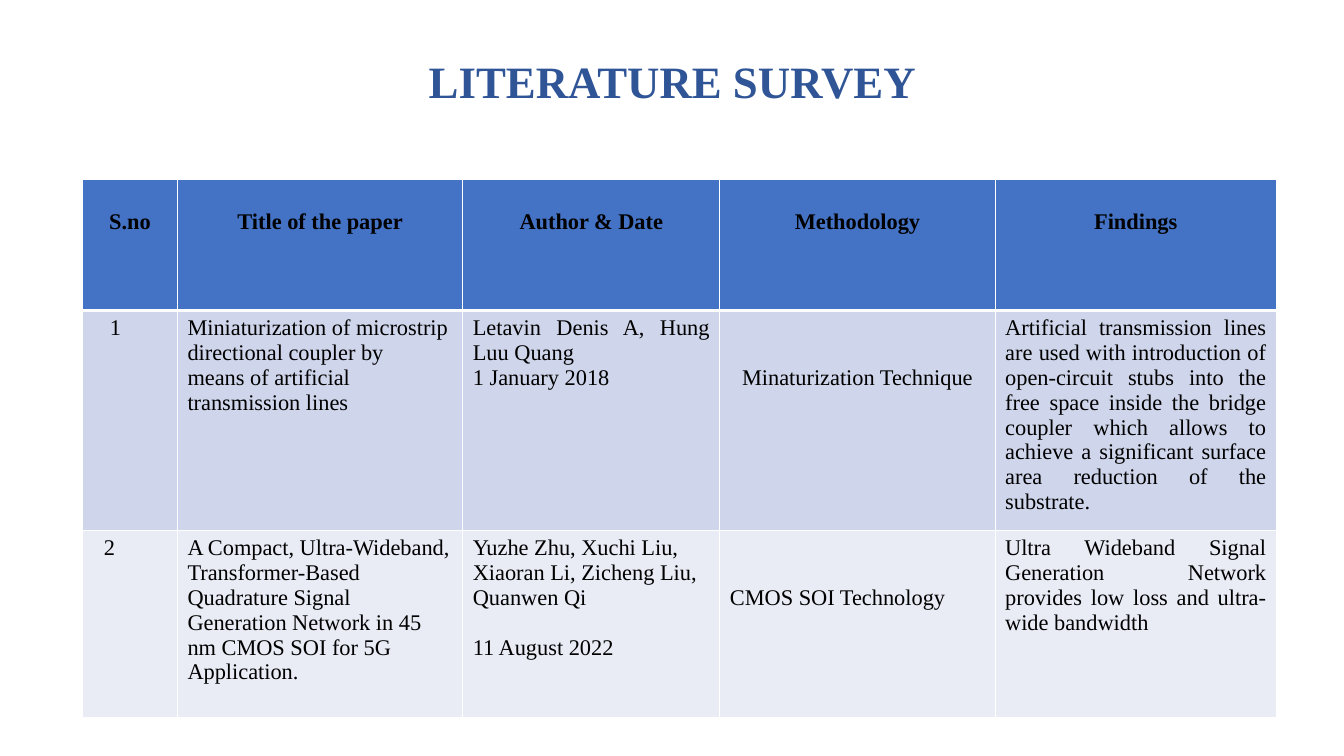
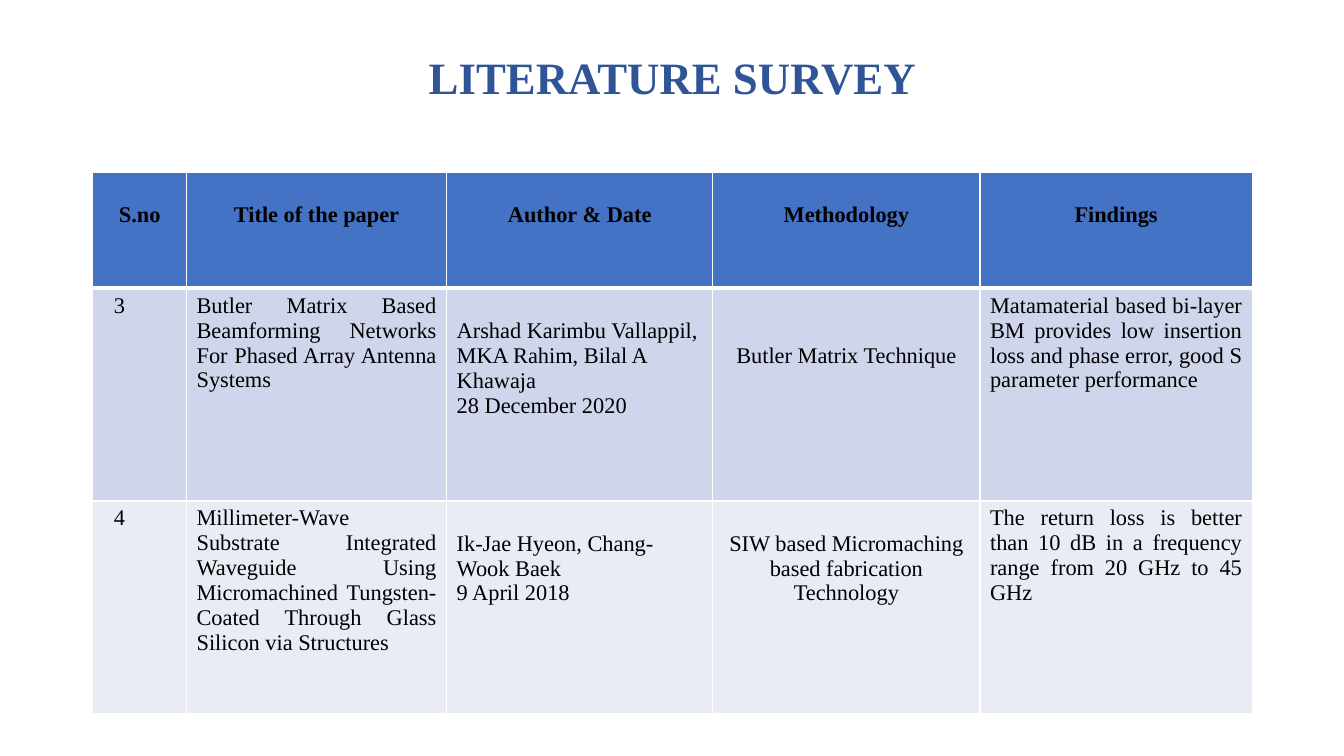
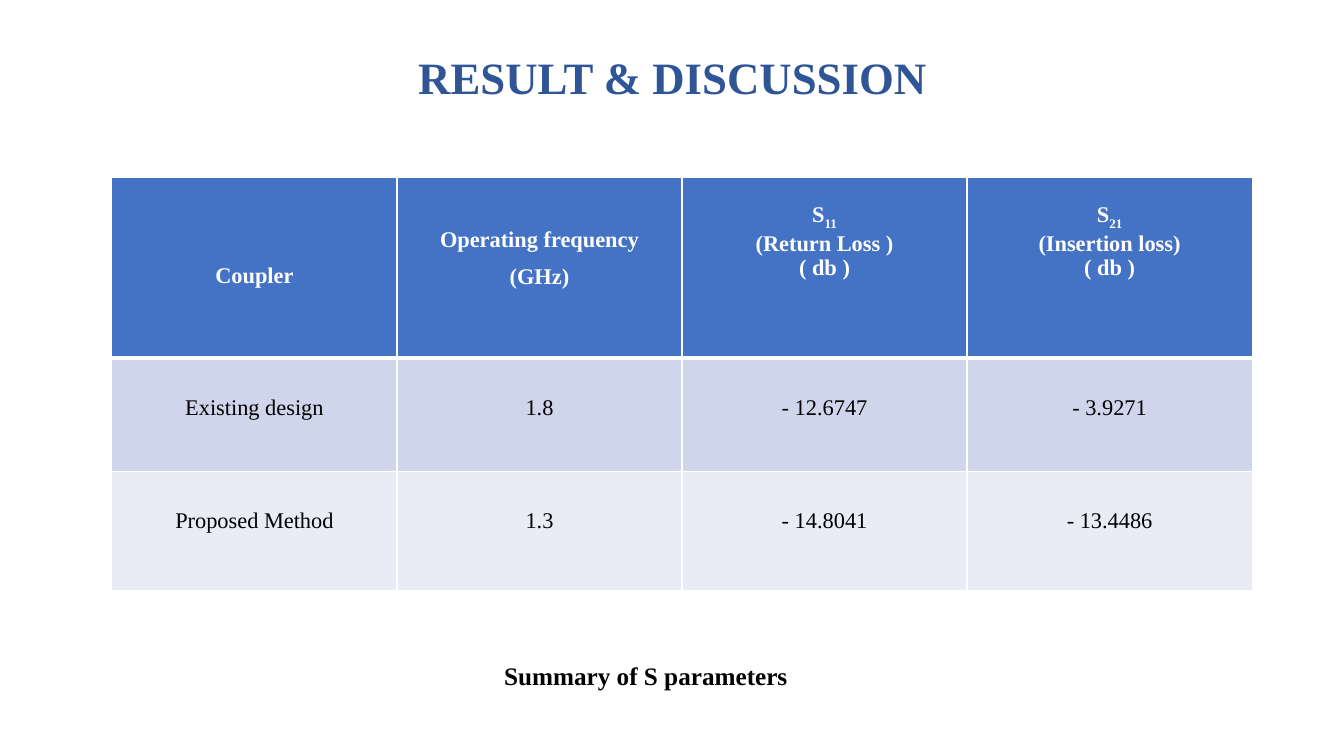
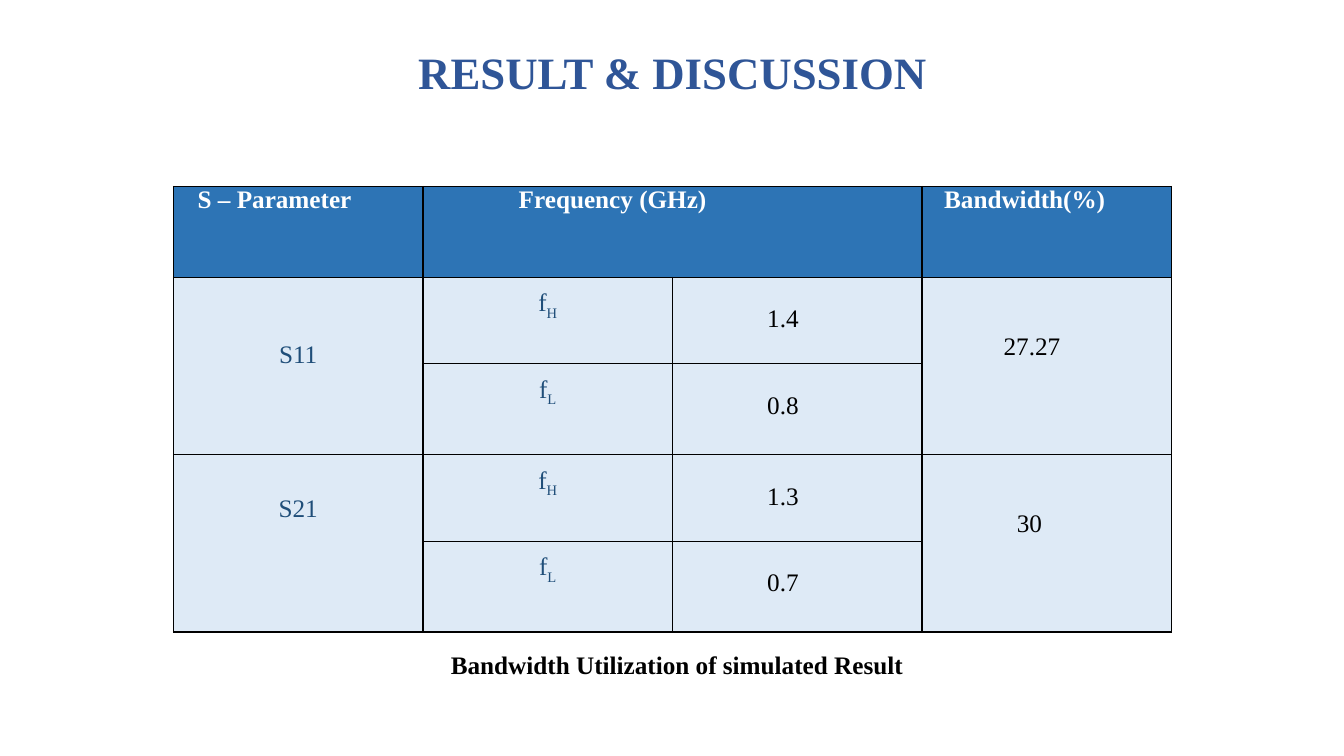
from dataclasses import dataclass
from itertools import product

from lxml.etree import SubElement
from pptx import Presentation
from pptx.dml.color import RGBColor
from pptx.enum.text import MSO_ANCHOR, PP_ALIGN
from pptx.oxml.ns import qn
from pptx.slide import Slide
from pptx.table import _Cell
from pptx.text.text import Font
from pptx.util import Inches, Pt

FONT = "Times New Roman"
BLACK, WHITE = "000000", "FFFFFF"
TITLE_BLUE, SYMBOL_BLUE = "2F5597", "1F4E79"
LEFT, CENTER, JUSTIFY = PP_ALIGN.LEFT, PP_ALIGN.CENTER, PP_ALIGN.JUSTIFY
PAD, LINE = 0.05, 0.25
ONE_LINE_DOWN, TWO_LINES_DOWN = PAD + LINE, PAD + 2 * LINE


@dataclass(frozen=True)
class TableStyle:
    header_fill: str
    body_fills: tuple[str, ...]
    header_color: str
    border: str
    header_rule: float
    size: int


SURVEY_STYLE = TableStyle("4472C4", ("CFD5EA", "E9EBF5"), BLACK, WHITE, 3, 16)
SUMMARY_STYLE = TableStyle("4472C4", ("CFD5EA", "E9EBF5"), WHITE, WHITE, 3, 16)
BANDWIDTH_STYLE = TableStyle("2D74B5", ("DEEAF6",), WHITE, BLACK, 1, 18)


@dataclass(frozen=True)
class CellText:
    """Text of one cell, with its insets in inches; a line break starts a paragraph."""
    text: str
    align: PP_ALIGN = LEFT
    top: float = PAD
    left: float = 0.1
    right: float = 0.1
    subscript: str = ""
    color: str = BLACK
    line_spacing: float = 1.0
    last_gap: float = 0


@dataclass(frozen=True)
class Grid:
    left: float
    top: float
    columns: list[float]
    rows: list[float]
    style: TableStyle
    cells: list[list[CellText | None]]
    merges: tuple[tuple[int, int, int, int], ...] = ()


def rgb(color: str) -> RGBColor:
    return RGBColor.from_string(color)


def format_font(font: Font, size: float, color: str, bold: bool) -> None:
    font.name, font.size, font.bold = FONT, Pt(size), bold
    font.color.rgb = rgb(color)


def add_label(slide: Slide, text: str, left: float, top: float, width: float,
              height: float, size: int, color: str) -> None:
    """Add one centred bold line of text."""
    frame = slide.shapes.add_textbox(
        Inches(left), Inches(top), Inches(width), Inches(height)).text_frame
    frame.word_wrap = True
    frame.vertical_anchor = MSO_ANCHOR.MIDDLE
    frame.text = text
    paragraph = frame.paragraphs[0]
    paragraph.alignment = CENTER
    format_font(paragraph.runs[0].font, size, color, True)


def add_title(slide: Slide, text: str, top: float, height: float) -> None:
    add_label(slide, text, 0.92, top, 11.5, height, 32, TITLE_BLUE)


def set_borders(cell: _Cell, color: str, widths: dict[str, float]) -> None:
    properties = cell._tc.get_or_add_tcPr()
    for side in ("L", "R", "T", "B"):
        line = SubElement(properties, qn(f"a:ln{side}"), w=str(Pt(widths.get(side, 1))))
        fill = SubElement(line, qn("a:solidFill"))
        SubElement(fill, qn("a:srgbClr"), val=color)


def write_cell(cell: _Cell, content: CellText, size: int, color: str, bold: bool) -> None:
    cell.margin_left, cell.margin_right = Inches(content.left), Inches(content.right)
    cell.margin_top, cell.margin_bottom = Inches(content.top), Inches(0)
    frame = cell.text_frame
    frame.text = content.text
    if content.subscript:
        run = frame.paragraphs[0].add_run()
        run.text = content.subscript
        run._r.get_or_add_rPr().set("baseline", "-25000")
    for paragraph in frame.paragraphs:
        paragraph.alignment = content.align
        paragraph.line_spacing = content.line_spacing
        for run in paragraph.runs:
            format_font(run.font, size, color, bold)
    if content.last_gap:
        frame.paragraphs[-1].space_before = Pt(content.last_gap)


def add_grid(slide: Slide, grid: Grid) -> None:
    style = grid.style
    table = slide.shapes.add_table(
        len(grid.rows), len(grid.columns), Inches(grid.left), Inches(grid.top),
        Inches(sum(grid.columns)), Inches(sum(grid.rows))).table
    table.horz_banding = False
    for column, width in zip(table.columns, grid.columns):
        column.width = Inches(width)
    for row, height in zip(table.rows, grid.rows):
        row.height = Inches(height)
    for row, column in product(range(len(grid.rows)), range(len(grid.columns))):
        cell, content = table.cell(row, column), grid.cells[row][column]
        is_header = row == 0
        rule_sides = {0: "B", 1: "T"}
        widths = {rule_sides[row]: style.header_rule} if row in rule_sides else {}
        set_borders(cell, style.border, widths)
        cell.fill.solid()
        body_fill = style.body_fills[(row - 1) % len(style.body_fills)]
        cell.fill.fore_color.rgb = rgb(style.header_fill if is_header else body_fill)
        if content:
            color = style.header_color if is_header else content.color
            write_cell(cell, content, style.size, color, is_header)
    for first_row, first_column, last_row, last_column in grid.merges:
        table.cell(first_row, first_column).merge(table.cell(last_row, last_column))


SURVEY_HEADER = [
    CellText(text, CENTER, ONE_LINE_DOWN)
    for text in ("S.no", "Title of the paper", "Author & Date", "Methodology", "Findings")
]

FIRST_SURVEY = Grid(
    0.82, 1.78, [0.94, 2.83, 2.55, 2.73, 2.79], [1.3, 2.07, 1.86], SURVEY_STYLE,
    [
        SURVEY_HEADER,
        [
            CellText("1", left=0.27),
            CellText("Miniaturization of microstrip directional coupler by\n"
                     "means of artificial transmission lines"),
            CellText("Letavin Denis A, Hung Luu Quang\n1 January 2018", JUSTIFY),
            CellText("Minaturization Technique", CENTER, TWO_LINES_DOWN),
            CellText("Artificial transmission lines are used with introduction of "
                     "open-circuit stubs into the free space inside the bridge coupler "
                     "which allows to achieve a significant surface area reduction of "
                     "the substrate.", JUSTIFY),
        ],
        [
            CellText("2", left=0.21),
            CellText("A Compact, Ultra-Wideband, Transformer-Based Quadrature Signal "
                     "Generation Network in 45 nm CMOS SOI for 5G Application."),
            CellText("Yuzhe Zhu, Xuchi Liu, Xiaoran Li, Zicheng Liu, Quanwen Qi\n"
                     "11 August 2022", last_gap=18),
            CellText("CMOS SOI Technology", top=TWO_LINES_DOWN),
            CellText("Ultra Wideband Signal Generation Network provides low loss and "
                     "ultra-wide bandwidth", JUSTIFY),
        ],
    ])

SECOND_SURVEY = Grid(
    0.92, 1.71, [0.93, 2.58, 2.64, 2.65, 2.7], [1.15, 2.11, 2.11], SURVEY_STYLE,
    [
        SURVEY_HEADER,
        [
            CellText("3", left=0.21),
            CellText("Butler Matrix Based Beamforming Networks For Phased Array "
                     "Antenna Systems", JUSTIFY),
            CellText("Arshad Karimbu Vallappil, MKA Rahim, Bilal A Khawaja\n"
                     "28 December 2020", top=ONE_LINE_DOWN),
            CellText("Butler Matrix Technique", CENTER, TWO_LINES_DOWN),
            CellText("Matamaterial based bi-layer BM provides low insertion loss and "
                     "phase error, good S parameter performance", JUSTIFY),
        ],
        [
            CellText("4", left=0.21),
            CellText("Millimeter-Wave Substrate Integrated Waveguide Using "
                     "Micromachined Tungsten-Coated Through Glass Silicon via "
                     "Structures", JUSTIFY),
            CellText("Ik-Jae Hyeon, Chang-Wook Baek\n9 April 2018", top=ONE_LINE_DOWN),
            CellText("SIW based Micromaching based fabrication Technology",
                     CENTER, ONE_LINE_DOWN),
            CellText("The return loss is better than 10 dB in a frequency range from "
                     "20 GHz to 45 GHz", JUSTIFY),
        ],
    ])

SUMMARY = Grid(
    1.11, 1.76, [11.31 / 4] * 4, [1.79, 1.13, 1.18], SUMMARY_STYLE,
    [
        [
            CellText("Coupler", CENTER, 0.85),
            CellText("Operating frequency (GHz)", CENTER, 0.37, 0.25, 0.25,
                     line_spacing=1.5),
            CellText("S\n(Return Loss )\n( db )", CENTER, 0.25, subscript="11"),
            CellText("S\n(Insertion loss)\n( db )", CENTER, 0.25, subscript="21"),
        ],
        *[
            [CellText(text, CENTER, 0.37) for text in row]
            for row in (("Existing design", "1.8", "- 12.6747", "- 3.9271"),
                        ("Proposed Method", "1.3", "- 14.8041", "- 13.4486"))
        ],
    ])


def parameter_rows(name: str, name_top: float, high: str, low: str, bandwidth: str,
                   bandwidth_left: float) -> list[list[CellText | None]]:
    """Give the two rows, high and low frequency, of one S parameter."""
    symbols = [CellText("f", CENTER, 0.12, subscript=letter, color=SYMBOL_BLUE)
               for letter in "HL"]
    values = [CellText(value, top=0.28, left=0.94) for value in (high, low)]
    return [
        [CellText(name, CENTER, name_top, color=SYMBOL_BLUE), symbols[0], values[0],
         CellText(bandwidth, top=0.55, left=bandwidth_left)],
        [None, symbols[1], values[1], None],
    ]


BANDWIDTH = Grid(
    1.72, 1.85, [9.9 / 4] * 4, [0.9, 0.86, 0.9, 0.86, 0.9], BANDWIDTH_STYLE,
    [
        [
            CellText("S – Parameter", top=0, left=0.24),
            CellText("Frequency (GHz)", top=0, left=0.95),
            None,
            CellText("Bandwidth(%)", top=0, left=0.22),
        ],
        *parameter_rows("S11", 0.63, "1.4", "0.8", "27.27", 0.81),
        *parameter_rows("S21", 0.4, "1.3", "0.7", "30", 0.94),
    ],
    merges=((0, 1, 0, 2), (1, 0, 2, 0), (1, 3, 2, 3), (3, 0, 4, 0), (3, 3, 4, 3)))


def main() -> None:
    presentation = Presentation()
    presentation.slide_width, presentation.slide_height = Inches(13.33), Inches(7.5)
    blank = presentation.slide_layouts[6]
    pages = (
        ("LITERATURE SURVEY", 0.37, 0.85, FIRST_SURVEY),
        ("LITERATURE SURVEY", 0.4, 0.72, SECOND_SURVEY),
        ("RESULT & DISCUSSION", 0.4, 0.72, SUMMARY),
        ("RESULT & DISCUSSION", 0.4, 0.62, BANDWIDTH),
    )
    slides = []
    for title, top, height, grid in pages:
        slide = presentation.slides.add_slide(blank)
        add_title(slide, title, top, height)
        add_grid(slide, grid)
        slides.append(slide)
    add_label(slides[2], "Summary of S parameters", 3.01, 6.5, 6.79, 0.4, 18, BLACK)
    add_label(slides[3], "Bandwidth Utilization of simulated Result",
              4.35, 6.39, 4.73, 0.4, 18, BLACK)
    presentation.save("out.pptx")


if __name__ == "__main__":
    main()
